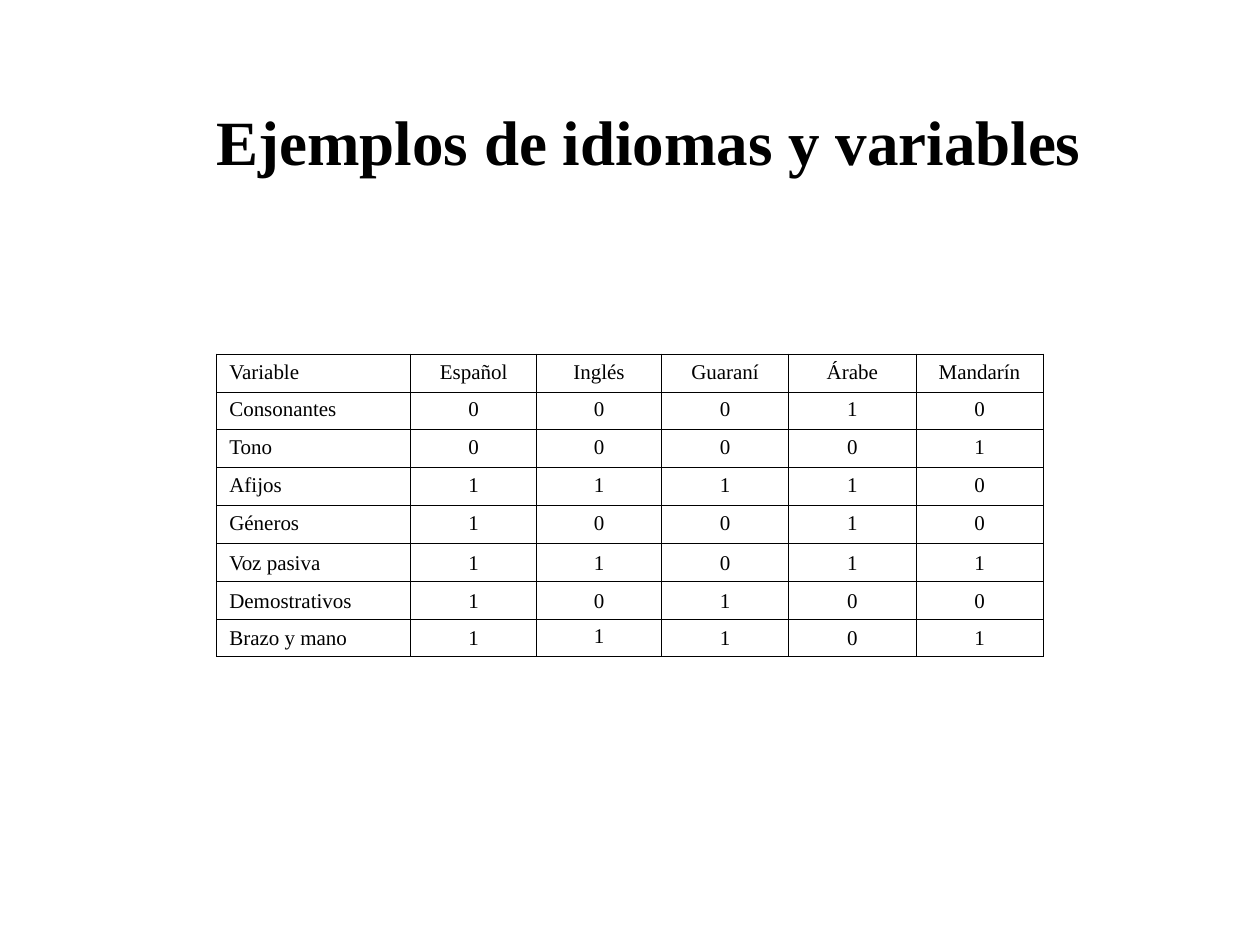
from dataclasses import dataclass

from lxml import etree
from pptx import Presentation
from pptx import util as u
from pptx.dml.color import RGBColor
from pptx.enum import text
from pptx.oxml import ns


@dataclass(frozen=True)
class Theme:
    """Colours, font and type sizes of the slide."""
    ink: str = "000000"
    paper: str = "FFFFFF"
    font: str = "Times New Roman"
    title_size: int = 36
    cell_size: int = 12
    border: float = 0.45


THEME = Theme()
HEADINGS = ["Variable", "Español", "Inglés", "Guaraní", "Árabe", "Mandarín"]
VARIABLES = {
    "Consonantes": "00010",
    "Tono": "00001",
    "Afijos": "11110",
    "Géneros": "10010",
    "Voz pasiva": "11011",
    "Demostrativos": "10100",
    "Brazo y mano": "11101",
}
COLUMN_WIDTHS = [1.54, 1, 0.99, 1.01, 1.01, 1.01]
ROW_HEIGHT = 0.3
FIRST_BOTTOM_ROW = 5
TOP_CELL = (7, 2)


def write(frame, words, size, bold, align):
    """Put one styled paragraph into a text frame."""
    frame.text = words
    para = frame.paragraphs[0]
    para.alignment = align
    for span in para.runs:
        span.font.name = THEME.font
        span.font.size = u.Pt(size)
        span.font.bold = bold
        span.font.color.rgb = RGBColor.from_string(THEME.ink)


def add_title(page, words):
    """Add the centred title box."""
    box = page.shapes.add_textbox(u.Inches(0.9), u.Inches(0.49), u.Inches(8.5), u.Inches(1.25))
    box.text_frame.word_wrap = True
    box.text_frame.vertical_anchor = text.MSO_ANCHOR.MIDDLE
    write(box.text_frame, words, THEME.title_size, True, text.PP_ALIGN.CENTER)


def add_borders(cell):
    """Draw a thin line on each side of a cell."""
    properties = cell._tc.get_or_add_tcPr()
    for side in ("a:lnL", "a:lnR", "a:lnT", "a:lnB"):
        line = etree.SubElement(properties, ns.qn(side), w=str(u.Pt(THEME.border)))
        fill = etree.SubElement(line, ns.qn("a:solidFill"))
        etree.SubElement(fill, ns.qn("a:srgbClr"), val=THEME.ink)


def add_language_table(page):
    """Add the table of variables by language."""
    rows = [HEADINGS] + [[name, *values] for name, values in VARIABLES.items()]
    table = page.shapes.add_table(
        len(rows), len(HEADINGS), u.Inches(1.72), u.Inches(2.81),
        u.Inches(sum(COLUMN_WIDTHS)), u.Inches(ROW_HEIGHT * len(rows)),
    ).table
    table.first_row = table.horz_banding = False
    for column, width in zip(table.columns, COLUMN_WIDTHS):
        column.width = u.Inches(width)
    for r, row in enumerate(rows):
        table.rows[r].height = u.Inches(ROW_HEIGHT)
        for c, words in enumerate(row):
            cell = table.cell(r, c)
            low = r >= FIRST_BOTTOM_ROW and (r, c) != TOP_CELL
            cell.vertical_anchor = text.MSO_ANCHOR.BOTTOM if low else text.MSO_ANCHOR.TOP
            align = text.PP_ALIGN.CENTER if c else text.PP_ALIGN.LEFT
            write(cell.text_frame, words, THEME.cell_size, False, align)
            add_borders(cell)
            cell.fill.background()


def main():
    """Build and save the slide."""
    deck = Presentation()
    deck.slide_width, deck.slide_height = u.Inches(10), u.Inches(7.5)
    page = deck.slides.add_slide(deck.slide_layouts[6])
    page.background.fill.solid()
    page.background.fill.fore_color.rgb = RGBColor.from_string(THEME.paper)
    add_title(page, "Ejemplos de idiomas y variables")
    add_language_table(page)
    deck.save("out.pptx")


if __name__ == "__main__":
    main()
